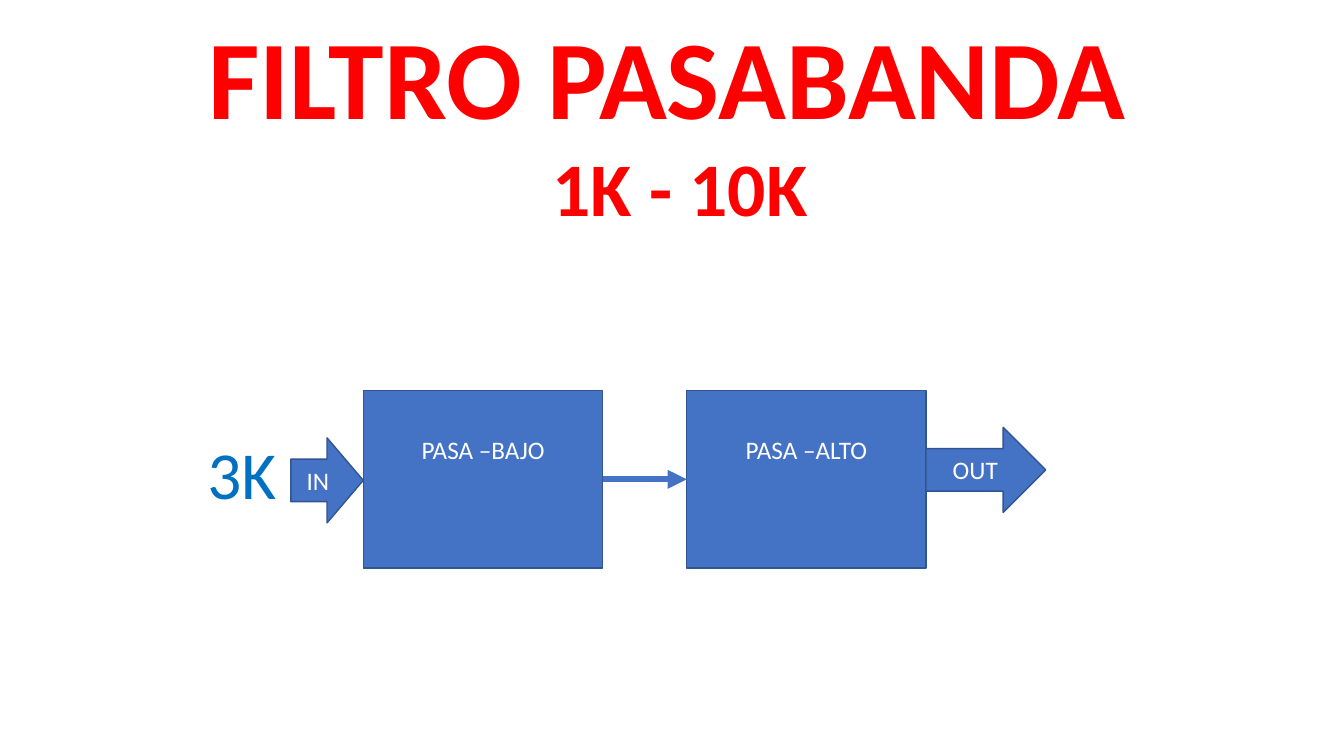
from lxml.etree import SubElement
from pptx import Presentation
from pptx.dml.color import RGBColor
from pptx.enum.shapes import MSO_CONNECTOR, MSO_SHAPE
from pptx.enum.text import MSO_ANCHOR, PP_ALIGN
from pptx.oxml.ns import qn
from pptx.util import Pt

PX = 9525  # EMU per px, 96 px to the inch
C = {"blue": "4472C4", "edge": "325491", "white": "FFFFFF",
     "red": "FF0000", "signal": "0070C0"}


def write(p, text, size=18, color="white", bold=False, align=PP_ALIGN.CENTER):
    p.alignment = align
    r = p.add_run()
    r.text = text
    r.font.name = "Calibri"
    r.font.size = Pt(size)
    r.font.bold = bold
    r.font.color.rgb = RGBColor.from_string(C[color])


prs = Presentation()
prs.slide_width, prs.slide_height = 1280 * PX, 720 * PX
s = prs.slides.add_slide(prs.slide_layouts[6])

# Filter blocks and signal arrows
RECT, ARROW = MSO_SHAPE.RECTANGLE, MSO_SHAPE.RIGHT_ARROW
blocks = []
for kind, text, x, y, w, h, bottom in [
    (RECT, "PASA –BAJO", 346, 372, 228, 169, 61),
    (RECT, "PASA –ALTO", 654, 372, 228, 169, 61),
    (ARROW, "IN", 277, 417, 69, 81, 5),
    (ARROW, "OUT", 882, 407, 114, 81, 5),
]:
    sp = s.shapes.add_shape(kind, x * PX, y * PX, w * PX, h * PX)
    sp.shadow.inherit = False
    sp.fill.solid()
    sp.fill.fore_color.rgb = RGBColor.from_string(C["blue"])
    sp.line.color.rgb = RGBColor.from_string(C["edge"])
    sp.line.width = Pt(1)
    tf = sp.text_frame
    tf.vertical_anchor = MSO_ANCHOR.MIDDLE
    tf.margin_bottom = bottom * PX
    write(tf.paragraphs[0], text)
    blocks.append(sp)

# Link between the two filters
link = s.shapes.add_connector(MSO_CONNECTOR.STRAIGHT, 0, 0, 0, 0)
link.begin_connect(blocks[0], 3)
link.end_connect(blocks[1], 1)
link.line.color.rgb = RGBColor.from_string(C["blue"])
link.line.width = Pt(4.5)
spPr = link.element.spPr
SubElement(spPr.find(qn("a:ln")), qn("a:tailEnd"), type="triangle")
SubElement(spPr, qn("a:effectLst"))

# Title and frequency band
tf = s.shapes.add_textbox(189 * PX, 2 * PX, 1091 * PX, 227 * PX).text_frame
tf.word_wrap = True
write(tf.paragraphs[0], "FILTRO PASABANDA", 80, "red", True, PP_ALIGN.LEFT)
p = tf.add_paragraph()
write(p, "1K - 10K", 54, "red", True, PP_ALIGN.LEFT)
p._p.get_or_add_pPr().set("marL", str(328 * PX))

# Input frequency
tf = s.shapes.add_textbox(188 * PX, 407 * PX, 85 * PX, 87 * PX).text_frame
tf.word_wrap = False
write(tf.paragraphs[0], "3K", 48, "signal", align=PP_ALIGN.LEFT)

prs.save("out.pptx")
